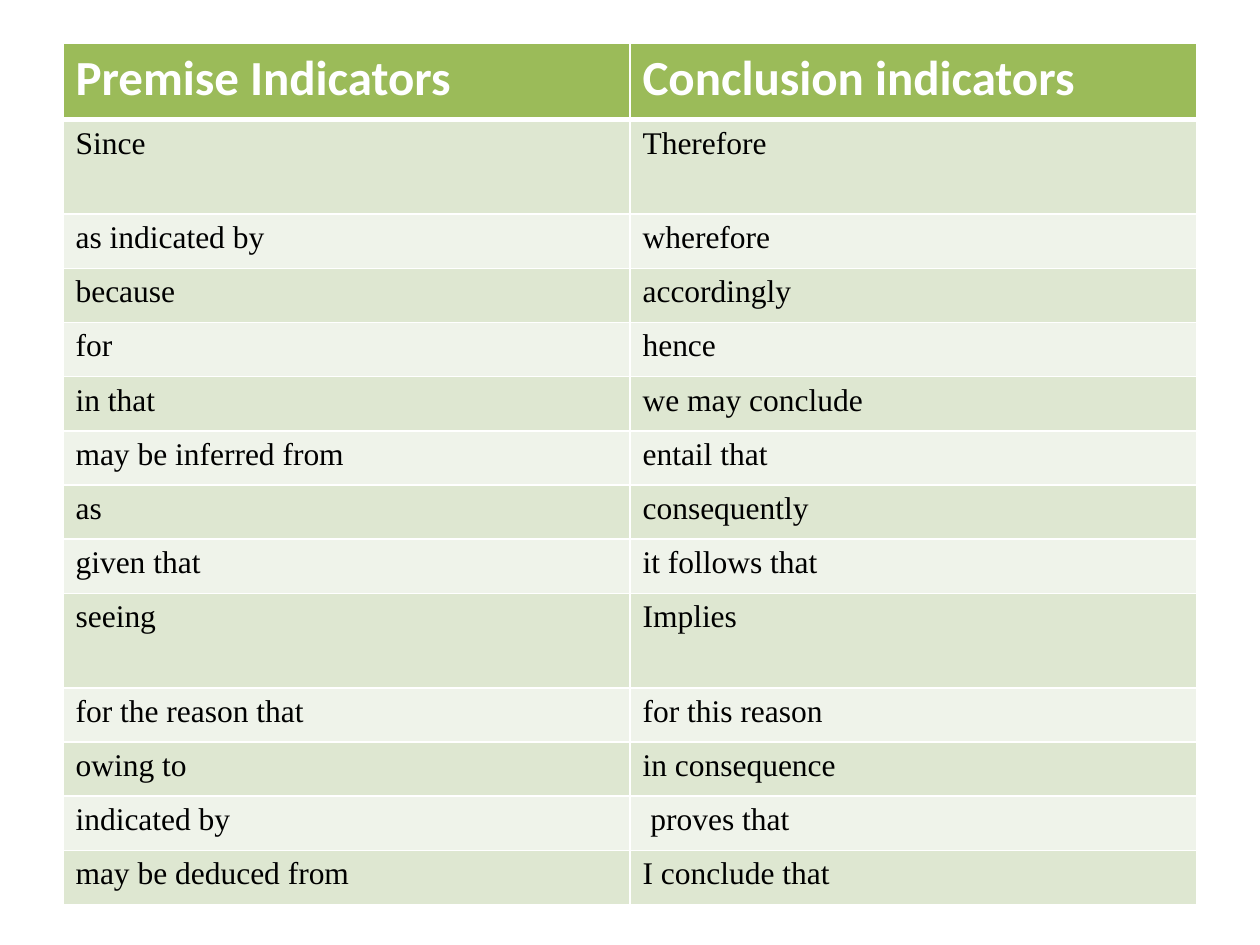
import lxml.etree
import pptx
import pptx.dml.color
import pptx.oxml.ns
import pptx.util
from pptx.util import Inches

THEME = {
    "border": "FFFFFF",
    "thin": 1,
    "thick": 3,
    "header": {"fill": "9BBB59", "color": "FFFFFF",
               "font": {"name": "Calibri", "size": pptx.util.Pt(28), "bold": True}},
    "body": {"fills": ("DEE7D1", "EFF3EA"), "color": "000000",
             "font": {"name": "Times New Roman", "size": pptx.util.Pt(18), "bold": False}},
}

INDICATORS = [
    ("Premise Indicators", "Conclusion indicators"),
    ("Since", "Therefore"),
    ("as indicated by", "wherefore"),
    ("because", "accordingly"),
    ("for", "hence"),
    ("in that", "we may conclude"),
    ("may be inferred from", "entail that"),
    ("as", "consequently"),
    ("given that", "it follows that"),
    ("seeing", "Implies"),
    ("for the reason that", "for this reason"),
    ("owing to", "in consequence"),
    ("indicated by", " proves that"),
    ("may be deduced from", "I conclude that"),
]
ROW_HEIGHT = 0.43
SPECIAL_HEIGHTS = {0: 0.61, 1: 0.75, 9: 0.75}


def add_borders(cell, widths):
    """Draw the cell's left, right, top and bottom lines, in that order; call before filling."""
    properties = cell._tc.get_or_add_tcPr()
    for side, width in zip("LRTB", widths):
        line = lxml.etree.SubElement(properties, pptx.oxml.ns.qn(f"a:ln{side}"),
                                     w=str(pptx.util.Pt(width)))
        fill = lxml.etree.SubElement(line, pptx.oxml.ns.qn("a:solidFill"))
        lxml.etree.SubElement(fill, pptx.oxml.ns.qn("a:srgbClr"), val=THEME["border"])


presentation = pptx.Presentation()
presentation.slide_width = Inches(10)
presentation.slide_height = Inches(7.5)
slide = presentation.slides.add_slide(presentation.slide_layouts[6])

heights = [SPECIAL_HEIGHTS.get(index, ROW_HEIGHT) for index in range(len(INDICATORS))]
table = slide.shapes.add_table(len(INDICATORS), 2, Inches(0.5), Inches(0.34),
                               Inches(9), Inches(sum(heights))).table

for row_index, (words, height) in enumerate(zip(INDICATORS, heights)):
    table.rows[row_index].height = Inches(height)
    style = THEME["header"] if row_index == 0 else THEME["body"]
    fill_color = style["fill"] if row_index == 0 else style["fills"][(row_index - 1) % 2]
    top = THEME["thick"] if row_index == 1 else THEME["thin"]
    bottom = THEME["thick"] if row_index == 0 else THEME["thin"]
    for cell, text in zip(table.rows[row_index].cells, words):
        add_borders(cell, (THEME["thin"], THEME["thin"], top, bottom))
        cell.fill.solid()
        cell.fill.fore_color.rgb = pptx.dml.color.RGBColor.from_string(fill_color)
        cell.text = text
        font = cell.text_frame.paragraphs[0].runs[0].font
        for attribute, value in style["font"].items():
            setattr(font, attribute, value)
        font.color.rgb = pptx.dml.color.RGBColor.from_string(style["color"])

presentation.save("out.pptx")
